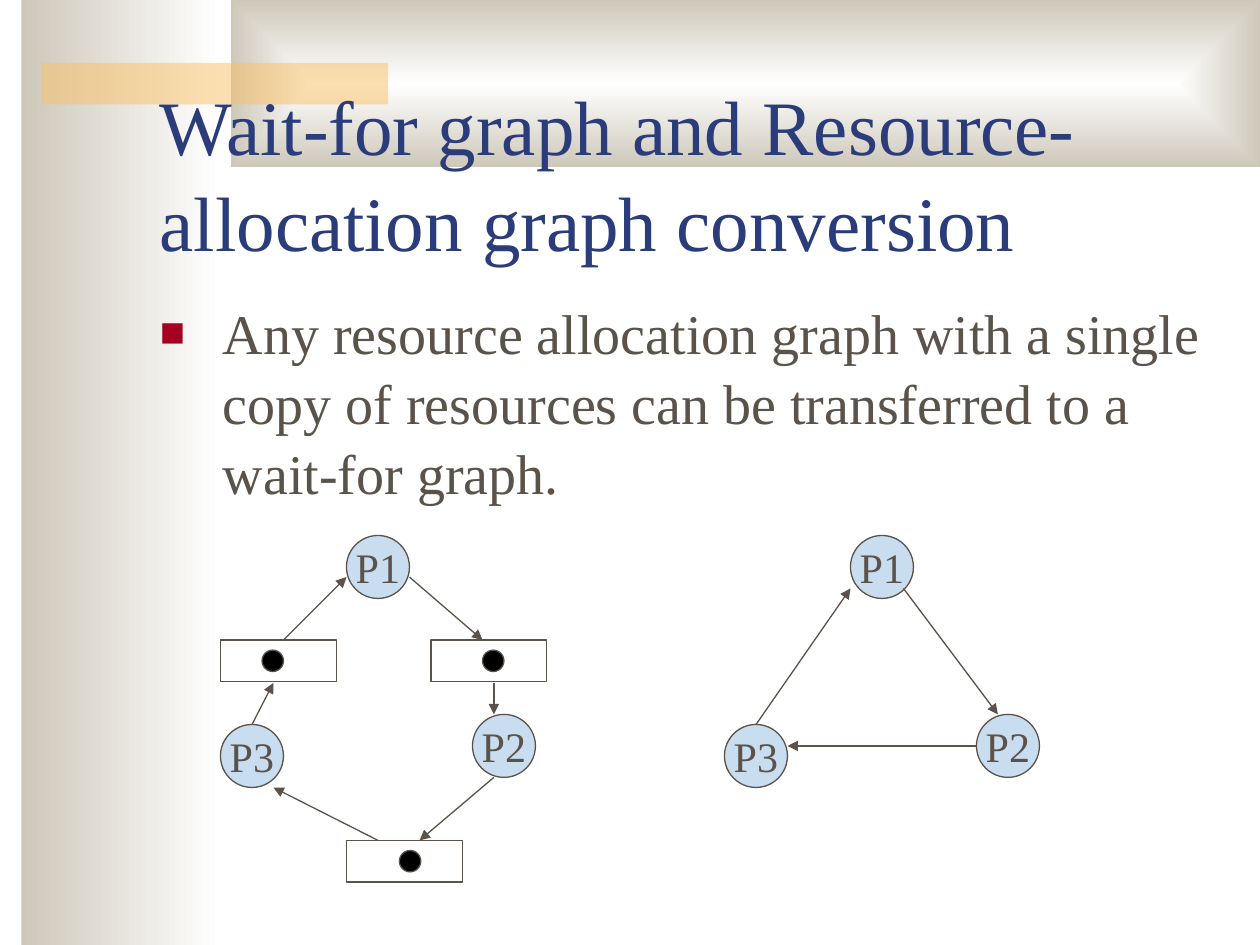
from dataclasses import dataclass

from lxml import etree
from pptx import Presentation
from pptx.dml.color import RGBColor
from pptx.enum.shapes import MSO_CONNECTOR, MSO_SHAPE
from pptx.enum.text import MSO_ANCHOR, PP_ALIGN
from pptx.oxml.ns import qn
from pptx.util import Inches, Pt

RECTANGLE = MSO_SHAPE.RECTANGLE
CIRCLE = MSO_SHAPE.FLOWCHART_CONNECTOR
STRAIGHT = MSO_CONNECTOR.STRAIGHT
TOP, MIDDLE, BOTTOM = MSO_ANCHOR.TOP, MSO_ANCHOR.MIDDLE, MSO_ANCHOR.BOTTOM
LEFT, CENTER = PP_ALIGN.LEFT, PP_ALIGN.CENTER


@dataclass(frozen=True)
class Theme:
    font: str = "Times New Roman"
    title: str = "2A3D7A"
    ink: str = "5B5249"
    bullet: str = "A50021"
    sand: str = "CEC8BA"
    accent: str = "FAC164"
    process: str = "C9DDF1"
    white: str = "FFFFFF"
    black: str = "000000"
    title_size: int = 44
    body_size: int = 32
    label_size: int = 24
    line_width: float = 0.75
    line_spacing: float = 1.04


THEME = Theme()

# Parts of the diagrams, in inches from the diagram's top left corner
PROCESSES = {"P1": (1, 0), "P2": (2, 1.42), "P3": (0, 1.5)}
PROCESS_SIZE = 0.5
RESOURCE_SIZE = (0.92, 0.33)
DOT_SIZE = 0.17
DOT_DROP = 0.08
# Each resource: left, top, and the dot's offset from the left
RESOURCES = [(1.67, 0.83, 0.41), (1, 2.42, 0.42), (0, 0.83, 0.33)]
ALLOCATION_ARROWS = [
    ((1.5, 0.33), (2.08, 0.83)),
    ((2.17, 1.17), (2.17, 1.42)),
    ((2.17, 1.92), (1.58, 2.42)),
    ((1.25, 2.42), (0.42, 2)),
    ((0.25, 1.5), (0.42, 1.17)),
    ((0.5, 0.83), (1, 0.33)),
]
WAIT_FOR_ARROWS = [
    ((0.25, 1.5), (1, 0.42)),
    ((1.42, 0.42), (2.17, 1.42)),
    ((2, 1.67), (0.5, 1.67)),
]


def color(value):
    return RGBColor.from_string(value)


def add_shape(slide, kind, left, top, width, height, fill=None, line=None):
    shape = slide.shapes.add_shape(
        kind, Inches(left), Inches(top), Inches(width), Inches(height))
    shape.shadow.inherit = False
    if fill:
        shape.fill.solid()
        shape.fill.fore_color.rgb = color(fill)
    if line:
        shape.line.color.rgb = color(line)
        shape.line.width = Pt(THEME.line_width)
    else:
        shape.line.fill.background()
    return shape


def write_text(shape, text, size, ink=THEME.ink, align=LEFT, anchor=TOP,
               wrap=True, spacing=None, before=0):
    frame = shape.text_frame
    frame.word_wrap = wrap
    frame.vertical_anchor = anchor
    paragraph = frame.paragraphs[0]
    paragraph.alignment = align
    paragraph.line_spacing = spacing
    paragraph.space_before = Pt(before)
    run = paragraph.add_run()
    run.text = text
    run.font.name = THEME.font
    run.font.size = Pt(size)
    run.font.color.rgb = color(ink)
    return paragraph


def add_text_box(slide, box, text, size, **text_format):
    shape = slide.shapes.add_textbox(*map(Inches, box))
    return write_text(shape, text, size, **text_format)


def set_gradient(shape, first, last):
    shape.fill.gradient()
    shape.fill.gradient_angle = 0
    for stop, value, position in zip(
            shape.fill.gradient_stops, (first, last), (0, 1)):
        stop.color.rgb = color(value)
        stop.position = position


def make_gradient_rectangular(shape):
    gradient = shape.element.spPr.find(qn("a:gradFill"))
    gradient.remove(gradient.find(qn("a:lin")))
    outline = etree.SubElement(gradient, qn("a:path"), path="rect")
    etree.SubElement(outline, qn("a:fillToRect"),
                     l="50000", t="50000", r="50000", b="50000")


def set_bullet(paragraph, indent):
    properties = paragraph._p.get_or_add_pPr()
    properties.set("marL", str(Inches(indent)))
    properties.set("indent", str(-Inches(indent)))
    bullet_color = etree.SubElement(properties, qn("a:buClr"))
    etree.SubElement(bullet_color, qn("a:srgbClr"), val=THEME.bullet)
    etree.SubElement(properties, qn("a:buSzPct"), val="75000")
    etree.SubElement(properties, qn("a:buFont"), typeface=THEME.font)
    etree.SubElement(properties, qn("a:buChar"), char="■")


def add_arrow(slide, start, end):
    arrow = slide.shapes.add_connector(STRAIGHT, *map(Inches, (*start, *end)))
    arrow.line.color.rgb = color(THEME.ink)
    arrow.line.width = Pt(THEME.line_width)
    etree.SubElement(arrow.line._get_or_add_ln(), qn("a:tailEnd"),
                     type="triangle")
    etree.SubElement(arrow._element.spPr, qn("a:effectLst"))


def add_background(slide, width, height):
    side_band = add_shape(slide, RECTANGLE, 0.17, 0, 1.58, height)
    set_gradient(side_band, THEME.sand, THEME.white)
    top_band = add_shape(slide, RECTANGLE, 1.83, 0, width - 1.83, 1.33)
    set_gradient(top_band, THEME.white, THEME.sand)
    make_gradient_rectangular(top_band)
    accent = add_shape(slide, RECTANGLE, 0.33, 0.5, 2.75, 0.33, THEME.accent)
    accent_color = accent.element.spPr.find(qn("a:solidFill"))[0]
    etree.SubElement(accent_color, qn("a:alpha"), val="50000")


def add_title(slide, box):
    add_text_box(slide, box,
                 "Wait-for graph and Resource-allocation graph conversion",
                 THEME.title_size, ink=THEME.title, anchor=BOTTOM,
                 spacing=THEME.line_spacing)


def add_body(slide, box):
    paragraph = add_text_box(
        slide, box,
        "Any resource allocation graph with a single copy of resources "
        "can be transferred to a wait-for graph.",
        THEME.body_size, spacing=THEME.line_spacing, before=8)
    set_bullet(paragraph, 0.5)


def add_graph(slide, left, top, arrows, resources=()):
    for name, (x, y) in PROCESSES.items():
        process = add_shape(slide, CIRCLE, left + x, top + y, PROCESS_SIZE,
                            PROCESS_SIZE, THEME.process, THEME.ink)
        write_text(process, name, THEME.label_size, align=CENTER,
                   anchor=MIDDLE, wrap=False)
    for x, y, dot_offset in resources:
        add_shape(slide, RECTANGLE, left + x, top + y, *RESOURCE_SIZE,
                  THEME.white, THEME.ink)
        add_shape(slide, CIRCLE, left + x + dot_offset, top + y + DOT_DROP,
                  DOT_SIZE, DOT_SIZE, THEME.black, THEME.ink)
    for start, end in arrows:
        add_arrow(slide, (left + start[0], top + start[1]),
                  (left + end[0], top + end[1]))


def main():
    presentation = Presentation()
    presentation.slide_width = Inches(10)
    presentation.slide_height = Inches(7.5)
    slide = presentation.slides.add_slide(presentation.slide_layouts[6])
    add_background(slide, 10, 7.5)
    add_title(slide, (1.17, 0.92, 8.5, 1.25))
    add_body(slide, (1.17, 2.3, 8.5, 4.5))
    # Resource-allocation graph on the left, wait-for graph on the right
    add_graph(slide, 1.75, 4.25, ALLOCATION_ARROWS, RESOURCES)
    add_graph(slide, 5.75, 4.25, WAIT_FOR_ARROWS)
    presentation.save("out.pptx")


if __name__ == "__main__":
    main()
